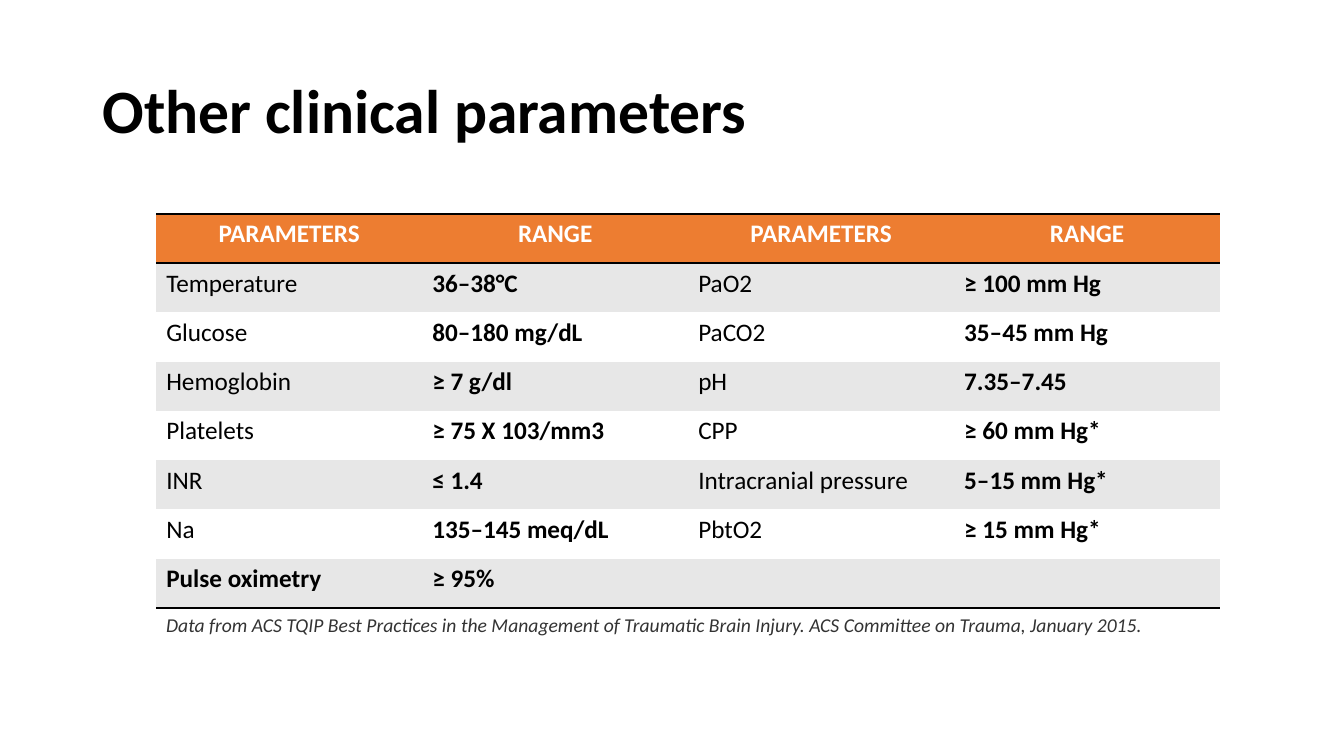
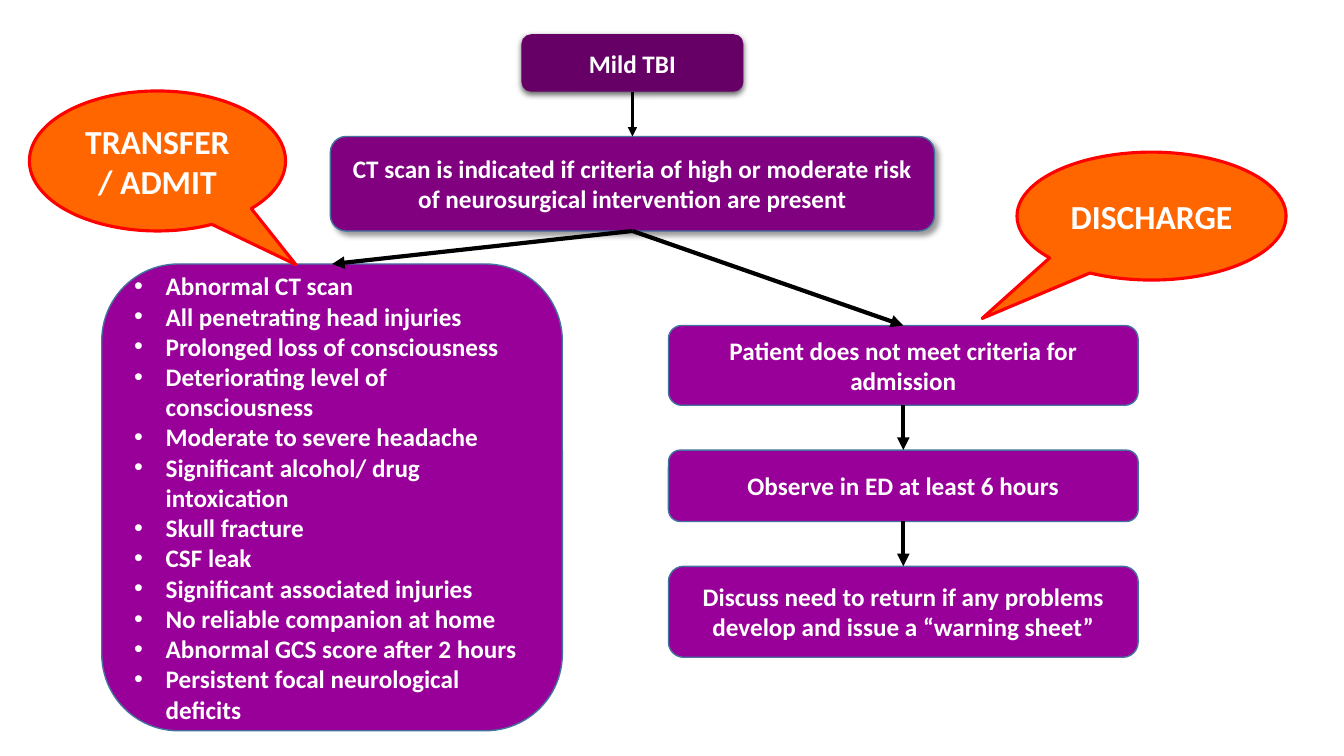
from dataclasses import dataclass
from typing import NamedTuple

from lxml.etree import SubElement
from pptx import Presentation
from pptx.dml.color import RGBColor
from pptx.enum.shapes import MSO_CONNECTOR as Connector, MSO_SHAPE as Preset
from pptx.enum.text import MSO_ANCHOR as Anchor, PP_ALIGN as Align
from pptx.oxml.ns import qn
from pptx.util import Pt


@dataclass(frozen=True)
class Theme:
    font: str = "Calibri"
    black: str = "000000"
    white: str = "FFFFFF"
    note: str = "333333"
    header: str = "ED7D31"
    band: str = "E7E7E7"
    start: str = "660066"
    decision: str = "800080"
    step: str = "990099"
    outline: str = "43739E"
    callout: str = "FF6600"
    callout_line: str = "FF0000"
    title_size: int = 44
    callout_size: int = 24
    body_size: int = 18
    note_size: int = 14


class Box(NamedTuple):
    left: float
    top: float
    width: float
    height: float

    def points(self):
        return [Pt(value) for value in self]


class Shadow(NamedTuple):
    opacity: int
    blur: float
    distance: float
    angle: int


THEME = Theme()
NO_GRID_STYLE = "{2D5ABB26-0587-4C30-8999-92F81FD0307C}"
TOP, BOTTOM = 0, 2  # connection sites of a rounded rectangle
STEP_GAP = 32

PARAMETER_ROWS = [
    ("PARAMETERS", "RANGE", "PARAMETERS", "RANGE"),
    ("Temperature", "36–38°C", "PaO2", "≥ 100 mm Hg"),
    ("Glucose", "80–180 mg/dL", "PaCO2", "35–45 mm Hg"),
    ("Hemoglobin", "≥ 7 g/dl", "pH", "7.35–7.45"),
    ("Platelets", "≥ 75 X 103/mm3", "CPP", "≥ 60 mm Hg*"),
    ("INR", "≤ 1.4", "Intracranial pressure", "5–15 mm Hg*"),
    ("Na", "135–145 meq/dL", "PbtO2", "≥ 15 mm Hg*"),
    ("Pulse oximetry", "≥ 95%", "", ""),
]
ADMISSION_CRITERIA = [
    "Abnormal CT scan",
    "All penetrating head injuries",
    "Prolonged loss of consciousness",
    "Deteriorating level of consciousness",
    "Moderate to severe headache",
    "Significant alcohol/ drug intoxication",
    "Skull fracture",
    "CSF leak",
    "Significant associated injuries",
    "No reliable companion at home",
    "Abnormal GCS score after 2 hours",
    "Persistent focal neurological deficits",
]
DISCHARGE_STEPS = [
    ("Patient does not meet criteria for admission", 57),
    ("Observe in ED at least 6 hours", 51),
    ("Discuss need to return if any problems develop and issue a “warning sheet”", 65),
]


def rgb(color):
    return RGBColor.from_string(color)


def write(paragraph, text, size=THEME.body_size, color=THEME.black,
          bold=False, italic=False, align=Align.LEFT):
    paragraph.alignment = align
    run = paragraph.add_run()
    run.text = text
    font = run.font
    font.name, font.size = THEME.font, Pt(size)
    font.bold, font.italic = bold, italic
    font.color.rgb = rgb(color)


def add_bullet(paragraph, indent=22.5):
    properties = paragraph._p.get_or_add_pPr()
    properties.set("marL", str(Pt(indent)))
    properties.set("indent", str(-Pt(indent)))
    SubElement(properties, qn("a:buFont"), typeface="Arial")
    SubElement(properties, qn("a:buChar"), char="•")


def add_solid_fill(parent, color):
    fill = SubElement(parent, qn("a:solidFill"))
    return SubElement(fill, qn("a:srgbClr"), val=color)


def add_cell_border(cell, side):
    line = SubElement(cell._tc.get_or_add_tcPr(), qn(f"a:ln{side}"), w=str(Pt(2)))
    add_solid_fill(line, THEME.black)


def add_shadow(shape, shadow):
    effects = shape._element.spPr.find(qn("a:effectLst"))
    outer = SubElement(effects, qn("a:outerShdw"), blurRad=str(Pt(shadow.blur)),
                       dist=str(Pt(shadow.distance)), dir=str(shadow.angle * 60000),
                       algn="ctr", rotWithShape="0")
    color = SubElement(outer, qn("a:srgbClr"), val=THEME.black)
    SubElement(color, qn("a:alpha"), val=str(shadow.opacity * 1000))


def add_panel(slide, box, preset=Preset.ROUNDED_RECTANGLE, fill=THEME.step,
              line=THEME.outline, line_width=1, shadow=None):
    shape = slide.shapes.add_shape(preset, *box.points())
    shape.fill.solid()
    shape.fill.fore_color.rgb = rgb(fill)
    if line:
        shape.line.color.rgb = rgb(line)
        shape.line.width = Pt(line_width)
    else:
        shape.line.fill.background()
    shape.shadow.inherit = False
    if shadow:
        add_shadow(shape, shadow)
    shape.text_frame.word_wrap = True
    shape.text_frame.vertical_anchor = Anchor.MIDDLE
    return shape


def add_step(slide, box, text, **style):
    shape = add_panel(slide, box, **style)
    write(shape.text_frame.paragraphs[0], text, color=THEME.white, bold=True,
          align=Align.CENTER)
    return shape


def add_callout(slide, box, text, pointer):
    """Pointer is the tip's offset from the centre, in shares of the size."""
    shape = add_panel(slide, box, Preset.OVAL_CALLOUT, THEME.callout,
                      THEME.callout_line, 2.25)
    shape.adjustments[0], shape.adjustments[1] = pointer
    write(shape.text_frame.paragraphs[0], text, THEME.callout_size, THEME.white,
          bold=True, align=Align.CENTER)


def add_arrow(slide, source, target, width=3):
    """Glue an arrow from the bottom of source to the top of target."""
    arrow = slide.shapes.add_connector(Connector.STRAIGHT, 0, 0, 0, 0)
    arrow.begin_connect(source, BOTTOM)
    arrow.end_connect(target, TOP)
    arrow.line.color.rgb = rgb(THEME.black)
    arrow.line.width = Pt(width)
    SubElement(arrow.line._get_or_add_ln(), qn("a:tailEnd"), type="triangle")
    SubElement(arrow._element.spPr, qn("a:effectLst"))


def add_title(slide, box, text):
    title = slide.shapes.title
    title.left, title.top, title.width, title.height = box.points()
    title.text_frame.vertical_anchor = Anchor.MIDDLE
    paragraph = title.text_frame.paragraphs[0]
    paragraph.line_spacing = 0.9
    write(paragraph, text, THEME.title_size, bold=True)


def add_parameter_table(slide, box, rows):
    frame = slide.shapes.add_table(len(rows), len(rows[0]), *box.points())
    table = frame.table
    table._tbl.tblPr.find(qn("a:tableStyleId")).text = NO_GRID_STYLE
    last = len(rows) - 1
    for row_index, row in enumerate(rows):
        header = row_index == 0
        banded = row_index % 2 == 1
        fill = THEME.header if header else THEME.band if banded else THEME.white
        for column_index, text in enumerate(row):
            cell = table.cell(row_index, column_index)
            if header:
                add_cell_border(cell, "T")
            if header or row_index == last:
                add_cell_border(cell, "B")
            cell.fill.solid()
            cell.fill.fore_color.rgb = rgb(fill)
            if text:
                write(cell.text_frame.paragraphs[0], text,
                      color=THEME.white if header else THEME.black,
                      bold=header or column_index % 2 == 1 or row_index == last,
                      align=Align.CENTER if header else Align.LEFT)


def add_source_note(slide, box, text):
    note = slide.shapes.add_textbox(*box.points())
    note.text_frame.word_wrap = True
    write(note.text_frame.paragraphs[0], text, THEME.note_size, THEME.note, italic=True)


def add_criteria_list(slide, box, criteria):
    shape = add_panel(slide, box)
    frame = shape.text_frame
    for index, criterion in enumerate(criteria):
        paragraph = frame.add_paragraph() if index else frame.paragraphs[0]
        add_bullet(paragraph)
        write(paragraph, criterion, color=THEME.white, bold=True)
    return shape


def add_step_column(slide, box, steps):
    """Stack the steps from the top of box, joined by arrows; return the shapes."""
    shapes, top = [], box.top
    for text, height in steps:
        shapes.append(add_step(slide, Box(box.left, top, box.width, height), text))
        top += height + STEP_GAP
    for source, target in zip(shapes, shapes[1:]):
        add_arrow(slide, source, target)
    return shapes


def build_parameters_slide(presentation):
    slide = presentation.slides.add_slide(presentation.slide_layouts[5])
    add_title(slide, Box(66, 28.8, 828, 104.4), "Other clinical parameters")
    table_box = Box(111.6, 152.8, 760, 281.6)
    add_parameter_table(slide, table_box, PARAMETER_ROWS)
    note_box = table_box._replace(top=table_box.top + table_box.height, height=24)
    add_source_note(slide, note_box,
                    "Data from ACS TQIP Best Practices in the Management of Traumatic "
                    "Brain Injury. ACS Committee on Trauma, January 2015.")


def build_pathway_slide(presentation):
    slide = presentation.slides.add_slide(presentation.slide_layouts[6])
    start = add_step(slide, Box(372.5, 24.5, 158.5, 41), "Mild TBI",
                     fill=THEME.start, line=None, shadow=Shadow(63, 4.5, 1.5, 90))
    decision = add_step(slide, Box(236, 97.5, 431.5, 67.5),
                        "CT scan is indicated if criteria of high or moderate risk "
                        "of neurosurgical intervention are present",
                        fill=THEME.decision, shadow=Shadow(40, 4, 3, 45))
    admission = add_criteria_list(slide, Box(72.7, 188.6, 329, 333.4), ADMISSION_CRITERIA)
    discharge = add_step_column(slide, Box(477.5, 232.5, 335.5, 237), DISCHARGE_STEPS)
    add_arrow(slide, start, decision, 2.25)
    for branch in (admission, discharge[0]):
        add_arrow(slide, decision, branch)
    add_callout(slide, Box(21, 65, 183, 100), "TRANSFER / ADMIT", (0.54, 0.74))
    add_callout(slide, Box(726.5, 108.7, 192.2, 91.4), "DISCHARGE", (-0.63, 0.8))


def main():
    presentation = Presentation()
    presentation.slide_width, presentation.slide_height = Pt(960), Pt(540)
    build_parameters_slide(presentation)
    build_pathway_slide(presentation)
    presentation.save("out.pptx")


if __name__ == "__main__":
    main()
